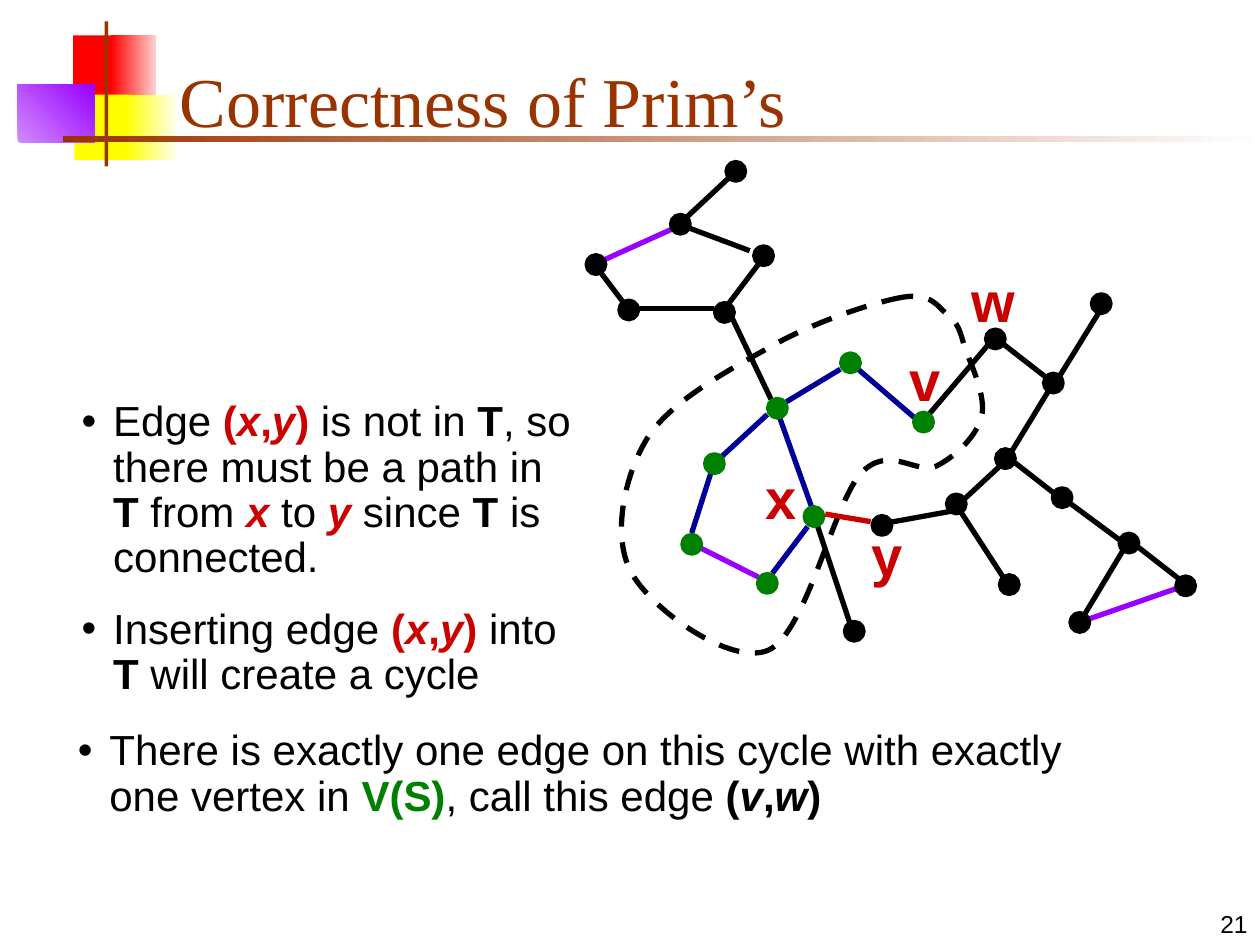
from dataclasses import dataclass

from lxml import etree
from pptx import Presentation
from pptx import util as u
from pptx.dml.color import RGBColor
from pptx.enum import dml, shapes, text
from pptx.oxml.ns import qn


@dataclass(frozen=True)
class Theme:
    black: str = "000000"
    brown: str = "993300"
    red: str = "CC0000"
    green: str = "008000"
    blue: str = "000099"
    purple: str = "9900FF"
    bright_red: str = "FF0000"
    yellow: str = "FFFF00"
    title_font: str = "Times New Roman"
    body_font: str = "Arial"
    title_size: int = 40
    label_size: int = 32
    body_size: int = 24
    number_size: int = 14
    stroke: int = 3
    node_size: float = 0.14


THEME = Theme()


def add_span(para, words, size=THEME.body_size, font=THEME.body_font,
             color=THEME.black, bold=False, italic=False):
    span = para.add_run()
    span.text = words
    span.font.size = u.Pt(size)
    span.font.name = font
    span.font.bold = bold
    span.font.italic = italic
    span.font.color.rgb = RGBColor.from_string(color)
    return span


class Page:
    def __init__(self, slide, theme):
        self.shapes = slide.shapes
        self.theme = theme

    def block(self, left, top, width, height, color, fade_to=None, angle=0):
        box = self.shapes.add_shape(shapes.MSO_SHAPE.RECTANGLE, u.Inches(left),
                                    u.Inches(top), u.Inches(width), u.Inches(height))
        box.shadow.inherit = False
        box.line.fill.background()
        if fade_to:
            box.fill.gradient()
            box.fill.gradient_angle = angle
            for stop, tone in zip(box.fill.gradient_stops, (color, fade_to)):
                stop.color.rgb = RGBColor.from_string(tone)
        else:
            box.fill.solid()
            box.fill.fore_color.rgb = RGBColor.from_string(color)

    def stroke(self, shape, color):
        shape.line.color.rgb = RGBColor.from_string(color)
        shape.line.width = u.Pt(self.theme.stroke)

    def node(self, left, top, color):
        size = u.Inches(self.theme.node_size)
        dot = self.shapes.add_shape(shapes.MSO_SHAPE.OVAL, u.Inches(left),
                                    u.Inches(top), size, size)
        dot.shadow.inherit = False
        dot.fill.solid()
        dot.fill.fore_color.rgb = RGBColor.from_string(color)
        self.stroke(dot, color)

    def edge(self, x1, y1, x2, y2, color):
        line = self.shapes.add_connector(shapes.MSO_CONNECTOR.STRAIGHT, u.Inches(x1),
                                         u.Inches(y1), u.Inches(x2), u.Inches(y2))
        self.stroke(line, color)
        etree.SubElement(line._element.spPr, qn("a:effectLst"))

    def dashed_curve(self, start, curves):
        """Closed outline through cubic curves, each (control, control, end)."""
        builder = self.shapes.build_freeform(u.Inches(start[0]), u.Inches(start[1]))
        builder.add_line_segments([(u.Inches(x), u.Inches(y))
                                   for curve in curves for x, y in curve], close=True)
        outline = builder.convert_to_shape()
        # Turn every three straight segments into one cubic curve
        segments = list(outline._element.iter(qn("a:lnTo")))
        for first in range(0, len(segments), 3):
            cubic = etree.Element(qn("a:cubicBezTo"))
            segments[first].addprevious(cubic)
            for segment in segments[first:first + 3]:
                cubic.append(segment[0])
                segment.getparent().remove(segment)
        outline.shadow.inherit = False
        outline.fill.background()
        self.stroke(outline, self.theme.black)
        outline.line.dash_style = dml.MSO_LINE.DASH

    def text(self, left, top, width, height, wrap=True, grow=False, bottom=False):
        box = self.shapes.add_textbox(u.Inches(left), u.Inches(top),
                                      u.Inches(width), u.Inches(height))
        frame = box.text_frame
        frame.word_wrap = wrap
        if grow:
            frame.auto_size = text.MSO_AUTO_SIZE.SHAPE_TO_FIT_TEXT
        if bottom:
            frame.vertical_anchor = text.MSO_ANCHOR.BOTTOM
        return frame

    def label(self, words, left, top, width, wrap=True):
        frame = self.text(left, top, width, 0.64, wrap=wrap, grow=True)
        add_span(frame.paragraphs[0], words, size=self.theme.label_size,
                 color=self.theme.red, bold=True)

    def bullets(self, left, top, width, height, items):
        frame = self.text(left, top, width, height, grow=True)
        for index, spans in enumerate(items):
            para = frame.add_paragraph() if index else frame.paragraphs[0]
            props = para._p.get_or_add_pPr()
            props.set("marL", str(u.Inches(0.25)))
            props.set("indent", str(-u.Inches(0.25)))
            tint = etree.SubElement(props, qn("a:buClr"))
            etree.SubElement(tint, qn("a:srgbClr"), val=self.theme.black)
            etree.SubElement(props, qn("a:buFont"), typeface=self.theme.body_font)
            etree.SubElement(props, qn("a:buChar"), char="•")
            para.line_spacing = 0.9
            para.space_before = u.Pt(15 if index else 0)
            for words, style in spans:
                add_span(para, words, **style)


def pair(first, second, color):
    """Spans for a vertex pair such as (x,y)."""
    upright = dict(color=color, bold=True)
    slanted = dict(upright, italic=True)
    return [("(", upright), (first, slanted), (",", upright), (second, slanted), (")", upright)]


PLAIN, BOLD = {}, dict(bold=True)
VERTEX = dict(color=THEME.red, bold=True, italic=True)

FIRST_BULLETS = [
    [("Edge ", PLAIN), *pair("x", "y", THEME.red), (" is not in ", PLAIN), ("T", BOLD),
     (", so there must be a path in ", PLAIN), ("T", BOLD), (" from ", PLAIN),
     ("x", VERTEX), (" to ", PLAIN), ("y", VERTEX), (" since ", PLAIN), ("T ", BOLD),
     ("is connected.", PLAIN)],
    [("Inserting edge ", PLAIN), *pair("x", "y", THEME.red), (" into ", PLAIN),
     ("T", BOLD), (" will create a cycle", PLAIN)],
]
LAST_BULLET = [
    [("There is exactly one edge on this cycle with exactly one vertex in ", PLAIN),
     ("V(S)", dict(color=THEME.green, bold=True)), (", call this edge ", PLAIN),
     *pair("v", "w", THEME.black)],
]

CUT_START = (7.16, 2.36)
CUT_CURVES = [
    ((6.93, 2.4), (6.45, 2.56), (6.12, 2.75)), ((5.78, 2.94), (5.31, 3.19), (5.13, 3.49)),
    ((4.95, 3.79), (4.85, 4.28), (5.02, 4.56)), ((5.18, 4.84), (5.8, 5.29), (6.1, 5.16)),
    ((6.4, 5.02), (6.61, 4.01), (6.83, 3.76)), ((7.05, 3.52), (7.27, 3.77), (7.43, 3.7)),
    ((7.59, 3.62), (7.75, 3.46), (7.79, 3.31)), ((7.83, 3.15), (7.71, 2.9), (7.66, 2.77)),
    ((7.62, 2.63), (7.61, 2.57), (7.52, 2.5)), ((7.44, 2.43), (7.39, 2.32), CUT_START),
]
NODES = {
    THEME.black: [(7.52, 3.93), (4.66, 2.03), (4.92, 2.39), (6.93, 4.1), (7.91, 3.57),
                  (8.36, 3.88), (9.34, 4.58), (8.89, 4.24), (8.5, 4.87), (8.29, 2.97),
                  (7.94, 4.57), (7.83, 2.62), (8.67, 2.34), (6.71, 4.94), (5.68, 2.41),
                  (5.77, 1.29), (5.33, 1.71), (5.99, 1.96)],
    THEME.green: [(6.1, 3.17), (6.02, 4.56), (6.39, 4.03), (6.68, 2.81), (7.26, 3.28),
                  (5.42, 4.25), (5.6, 3.61)],
}
EDGES = {
    THEME.black: [(7.63, 4.07, 8, 4.64), (7.59, 4.02, 8, 3.64), (8.5, 4, 8.96, 4.34),
                  (9.03, 4.34, 9.48, 4.69), (8.93, 4.34, 8.57, 4.94), (8, 3.63, 8.45, 3.98),
                  (8.36, 3.04, 8, 3.63), (7.91, 2.69, 8.36, 3.04), (8.74, 2.45, 8.37, 3.05),
                  (7.59, 4.05, 6.93, 4.17), (6.49, 4.18, 6.77, 5.02), (5.79, 2.48, 6.12, 3.17),
                  (5.67, 2.45, 5.02, 2.45), (4.97, 2.43, 4.72, 2.1), (6.1, 1.99, 5.73, 2.48),
                  (5.95, 1.99, 5.39, 1.78), (5.84, 1.36, 5.39, 1.78), (7.38, 3.28, 7.84, 2.74)],
    THEME.red: [(6.91, 4.14, 6.55, 4.08)],
    THEME.blue: [(6.41, 4.18, 6.13, 4.55), (6.19, 3.32, 6.44, 4.02), (6.09, 3.29, 5.71, 3.64),
                 (6.67, 2.93, 6.24, 3.19), (6.81, 2.93, 7.31, 3.36), (5.64, 3.76, 5.49, 4.23)],
    THEME.purple: [(4.8, 2.06, 5.33, 1.82), (8.65, 4.91, 9.34, 4.67), (5.56, 4.35, 6.02, 4.58)],
}


def main():
    deck = Presentation()
    deck.slide_width, deck.slide_height = u.Inches(10), u.Inches(7.5)
    page = Page(deck.slides.add_slide(deck.slide_layouts[6]), THEME)
    # Corner ornament and title rule
    page.block(0.58, 0.28, 0.35, 0.52, THEME.bright_red)
    page.block(0.88, 0.28, 0.36, 0.52, THEME.bright_red, "FFD1D1")
    page.block(0.59, 0.75, 0.46, 0.52, THEME.yellow)
    page.block(1, 0.75, 0.4, 0.52, THEME.yellow, "FFFFF0")
    page.block(0.14, 0.67, 0.61, 0.46, "D18BFF", THEME.purple, angle=45)
    page.block(0.83, 0.17, 0.03, 1.15, THEME.brown)
    page.block(0.5, 1.08, 9.5, 0.05, THEME.brown, "FFFFFF")
    # Page number and title
    number = page.text(7.92, 7, 2.08, 0.5, bottom=True).paragraphs[0]
    number.alignment = text.PP_ALIGN.RIGHT
    add_span(number, "21", size=THEME.number_size)
    title = page.text(1.33, 0.25, 8.52, 0.92, bottom=True).paragraphs[0]
    add_span(title, "Correctness of Prim’s", size=THEME.title_size,
             font=THEME.title_font, color=THEME.brown)
    # Graph: cut, edges, vertices
    page.dashed_curve(CUT_START, CUT_CURVES)
    for color, edges in EDGES.items():
        for ends in edges:
            page.edge(*ends, color)
    for color, nodes in NODES.items():
        for corner in nodes:
            page.node(*corner, color)
    # Vertex names
    page.label("x", 5.98, 3.63, 0.48)
    page.label("y", 6.82, 4.08, 0.48)
    page.label("v", 7.12, 2.69, 0.45, wrap=False)
    page.label("w", 7.61, 2.07, 0.54, wrap=False)
    # Argument
    page.bullets(0.52, 5.74, 8.6, 0.82, LAST_BULLET)
    page.bullets(0.55, 3.13, 4.11, 2.47, FIRST_BULLETS)
    deck.save("out.pptx")


if __name__ == "__main__":
    main()
